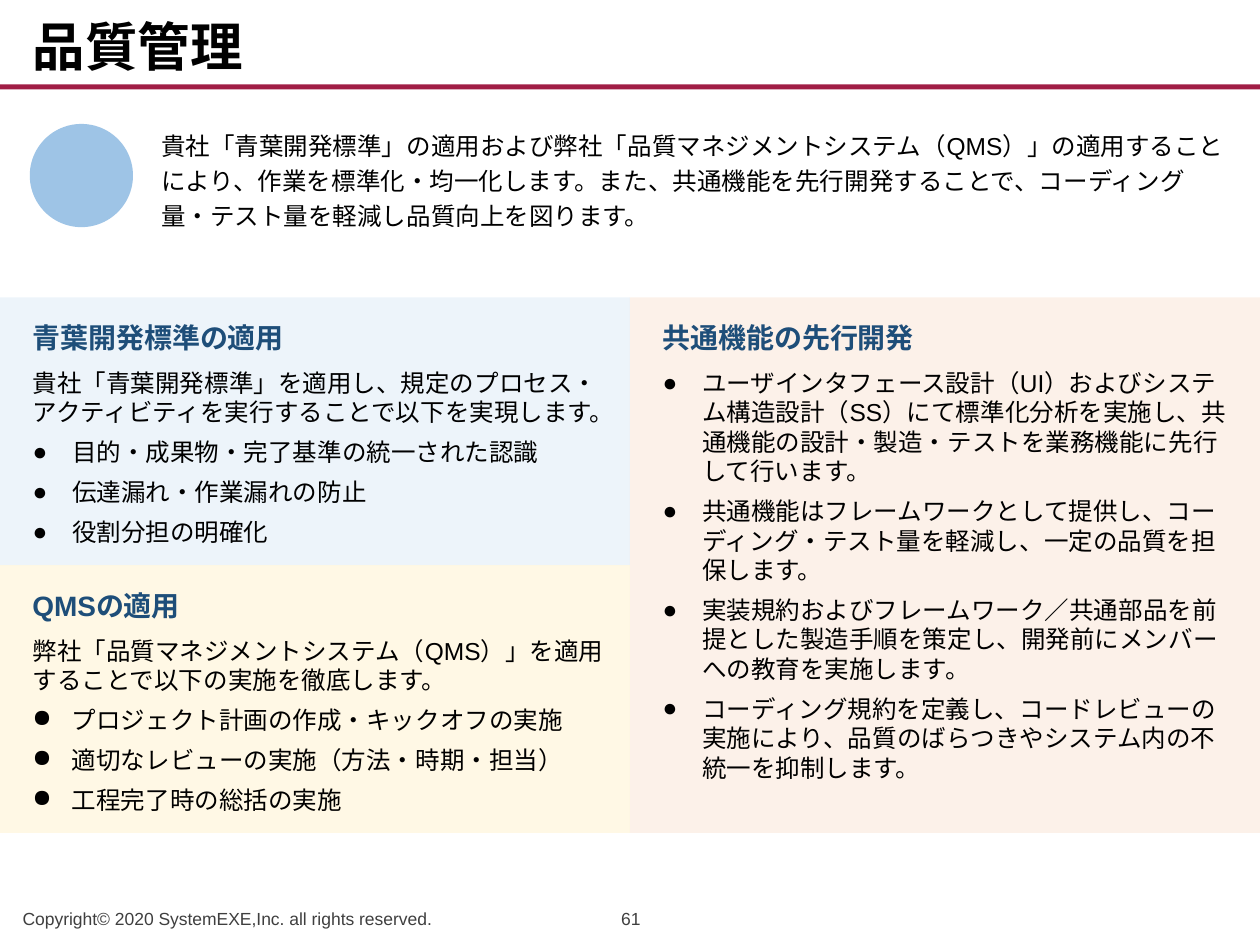
from dataclasses import dataclass

from lxml import etree
from pptx import Presentation
from pptx.dml.color import RGBColor
from pptx.enum.lang import MSO_LANGUAGE_ID
from pptx.enum.shapes import MSO_SHAPE
from pptx.enum.text import MSO_ANCHOR, MSO_AUTO_SIZE, PP_ALIGN
from pptx.oxml.ns import qn
from pptx.util import Pt

RECTANGLE, OVAL = MSO_SHAPE.RECTANGLE, MSO_SHAPE.OVAL
TOP, MIDDLE, BOTTOM = MSO_ANCHOR.TOP, MSO_ANCHOR.MIDDLE, MSO_ANCHOR.BOTTOM
LEFT, CENTER = PP_ALIGN.LEFT, PP_ALIGN.CENTER
FIXED_SIZE = MSO_AUTO_SIZE.NONE
JAPANESE = MSO_LANGUAGE_ID.JAPANESE


@dataclass(frozen=True)
class Theme:
    font: str = "Arial"
    text: str = "000000"
    heading: str = "1E4E79"
    footer: str = "3F3F3F"
    rule: str = "A01D45"
    circle: str = "5B9BD5"
    title_size: int = 30
    heading_size: int = 16
    body_size: int = 14
    footer_size: int = 10


THEME = Theme()
TITLE = "品質管理"
LEAD = ("貴社「青葉開発標準」の適用および弊社「品質マネジメントシステム（QMS）」の適用することにより、"
        "作業を標準化・均一化します。また、共通機能を先行開発することで、コーディング量・テスト量を軽減し品質向上を図ります。")
FOOTERS = [
    ("Copyright© 2020 SystemEXE,Inc. all rights reserved.", 5.8, 306, LEFT),
    ("61", 332, 57, CENTER),
]
# column, row and rows spanned place a section; holders are placeholder indexes
SECTIONS = [
    dict(heading="青葉開発標準の適用", color="DDEAF6", column=0, row=0, rows=1,
         holders=(1, 2), right_inset=0,
         intro="貴社「青葉開発標準」を適用し、規定のプロセス・アクティビティを実行することで以下を実現します。",
         bullets=["目的・成果物・完了基準の統一された認識",
                  "伝達漏れ・作業漏れの防止",
                  "役割分担の明確化"]),
    dict(heading="共通機能の先行開発", color="FBE4D4", column=1, row=0, rows=2,
         holders=(3, 4), right_inset=7.2, intro=None,
         bullets=["ユーザインタフェース設計（UI）およびシステム構造設計（SS）にて標準化分析を実施し、"
                  "共通機能の設計・製造・テストを業務機能に先行して行います。",
                  "共通機能はフレームワークとして提供し、コーディング・テスト量を軽減し、一定の品質を担保します。",
                  "実装規約およびフレームワーク／共通部品を前提とした製造手順を策定し、"
                  "開発前にメンバーへの教育を実施します。",
                  "コーディング規約を定義し、コードレビューの実施により、"
                  "品質のばらつきやシステム内の不統一を抑制します。"]),
    dict(heading="QMSの適用", color="FFF2CC", column=0, row=1, rows=1,
         holders=None, right_inset=0,
         intro="弊社「品質マネジメントシステム（QMS）」を適用することで以下の実施を徹底します。",
         bullets=["プロジェクト計画の作成・キックオフの実施",
                  "適切なレビューの実施（方法・時期・担当）",
                  "工程完了時の総括の実施"]),
]

SLIDE_WIDTH, SLIDE_HEIGHT = 720, 540
GRID_TOP, ROW_HEIGHT, COLUMN_WIDTH = 170, 153, SLIDE_WIDTH / 2
TEXT_LEFT, TEXT_WIDTH = 11.5, 337.5
HEADING_OFFSET, HEADING_HEIGHT = 11.5, 22.5
BODY_OFFSET, BODY_BOTTOM_GAP = 36.7, 8.5
BULLET_INDENT, BULLET_GAP = 22.5, 6


def points(*values):
    return [Pt(value) for value in values]


def add_fill_shape(slide, kind, bounds, color, opacity=100):
    """Add a borderless shape behind the placeholders."""
    shape = slide.shapes.add_shape(kind, *points(*bounds))
    shape.shadow.inherit = False
    shape.fill.solid()
    shape.fill.fore_color.rgb = RGBColor.from_string(color)
    shape.line.fill.background()
    if opacity < 100:
        tint = shape.element.spPr.find(".//" + qn("a:srgbClr"))
        etree.SubElement(tint, qn("a:alpha")).set("val", str(opacity * 1000))
    slide.shapes.title.element.addprevious(shape.element)


def prepare(box, bounds, anchor=TOP, right_inset=7.2):
    box.left, box.top, box.width, box.height = points(*bounds)
    frame = box.text_frame
    frame.word_wrap = True
    frame.auto_size = FIXED_SIZE
    frame.vertical_anchor = anchor
    frame.margin_left, frame.margin_top, frame.margin_right, frame.margin_bottom = points(
        7.2, 3.6, right_inset, 3.6)
    return frame


def set_bullet(para, bulleted):
    properties = para._p.get_or_add_pPr()
    indent = Pt(BULLET_INDENT) if bulleted else 0
    properties.set("marL", str(indent))
    properties.set("indent", str(-indent))
    if bulleted:
        color = etree.SubElement(properties, qn("a:buClr"))
        etree.SubElement(color, qn("a:srgbClr")).set("val", THEME.text)
        etree.SubElement(properties, qn("a:buChar")).set("char", "●")
    else:
        etree.SubElement(properties, qn("a:buNone"))


def write(para, text, size, color=THEME.text, bold=False, align=LEFT,
          spacing=1.0, before=0, bulleted=False):
    set_bullet(para, bulleted)
    para.alignment = align
    para.line_spacing = spacing
    para.space_before = Pt(before)
    para.space_after = Pt(0)
    span = para.add_run()
    span.text = text
    span.font.size = Pt(size)
    span.font.bold = bold
    span.font.name = THEME.font
    span.font.language_id = JAPANESE
    span.font.color.rgb = RGBColor.from_string(color)
    latin = span.font._element.find(qn("a:latin"))
    east_asian = etree.Element(qn("a:ea"), typeface=THEME.font)
    latin.addnext(east_asian)


def add_box(slide):
    return slide.shapes.add_textbox(0, 0, 0, 0)


def add_section(slide, section):
    left = section["column"] * COLUMN_WIDTH
    top = GRID_TOP + section["row"] * ROW_HEIGHT
    height = section["rows"] * ROW_HEIGHT
    add_fill_shape(slide, RECTANGLE, (left, top, COLUMN_WIDTH, height), section["color"], 50)

    if section["holders"]:
        holders = {holder.placeholder_format.idx: holder for holder in slide.placeholders}
        heading, body = [holders[index] for index in section["holders"]]
    else:
        heading, body = add_box(slide), add_box(slide)

    text_left = left + TEXT_LEFT
    frame = prepare(heading, (text_left, top + HEADING_OFFSET, TEXT_WIDTH, HEADING_HEIGHT), MIDDLE)
    write(frame.paragraphs[0], section["heading"], THEME.heading_size, THEME.heading, bold=True)

    body_height = height - BODY_OFFSET - BODY_BOTTOM_GAP
    frame = prepare(body, (text_left, top + BODY_OFFSET, TEXT_WIDTH, body_height),
                    right_inset=section["right_inset"])
    lines = [(text, True) for text in section["bullets"]]
    if section["intro"]:
        lines.insert(0, (section["intro"], False))
    for number, (text, bulleted) in enumerate(lines):
        para = frame.add_paragraph() if number else frame.paragraphs[0]
        write(para, text, THEME.body_size, before=BULLET_GAP if number else 0, bulleted=bulleted)


def main():
    deck = Presentation()
    deck.slide_width, deck.slide_height = points(SLIDE_WIDTH, SLIDE_HEIGHT)
    slide = deck.slides.add_slide(deck.slide_layouts.get_by_name("Comparison"))

    add_fill_shape(slide, RECTANGLE, (0, 48.2, SLIDE_WIDTH, 2.9), THEME.rule)
    frame = prepare(slide.shapes.title, (TEXT_LEFT, 2.9, 697.5, 45.3), BOTTOM)
    write(frame.paragraphs[0], TITLE, THEME.title_size, bold=True, spacing=0.9)

    add_fill_shape(slide, OVAL, (17, 70.8, 59, 59), THEME.circle, 59)
    frame = prepare(add_box(slide), (85, 67.7, 623.5, 73.4))
    write(frame.paragraphs[0], LEAD, THEME.body_size, spacing=1.2)

    for section in SECTIONS:
        add_section(slide, section)

    for text, left, width, align in FOOTERS:
        frame = prepare(add_box(slide), (left, 512, width, 22.3), BOTTOM)
        write(frame.paragraphs[0], text, THEME.footer_size, THEME.footer, align=align)

    deck.save("out.pptx")


if __name__ == "__main__":
    main()
